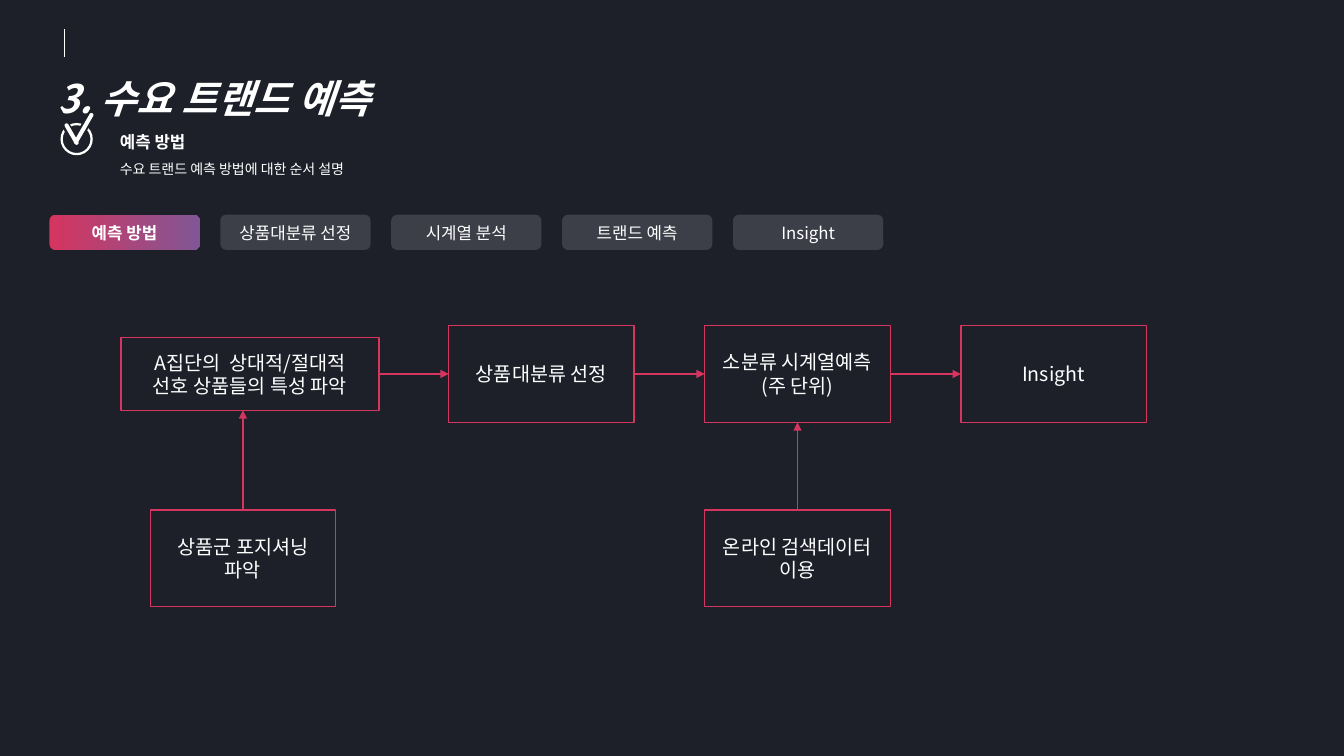
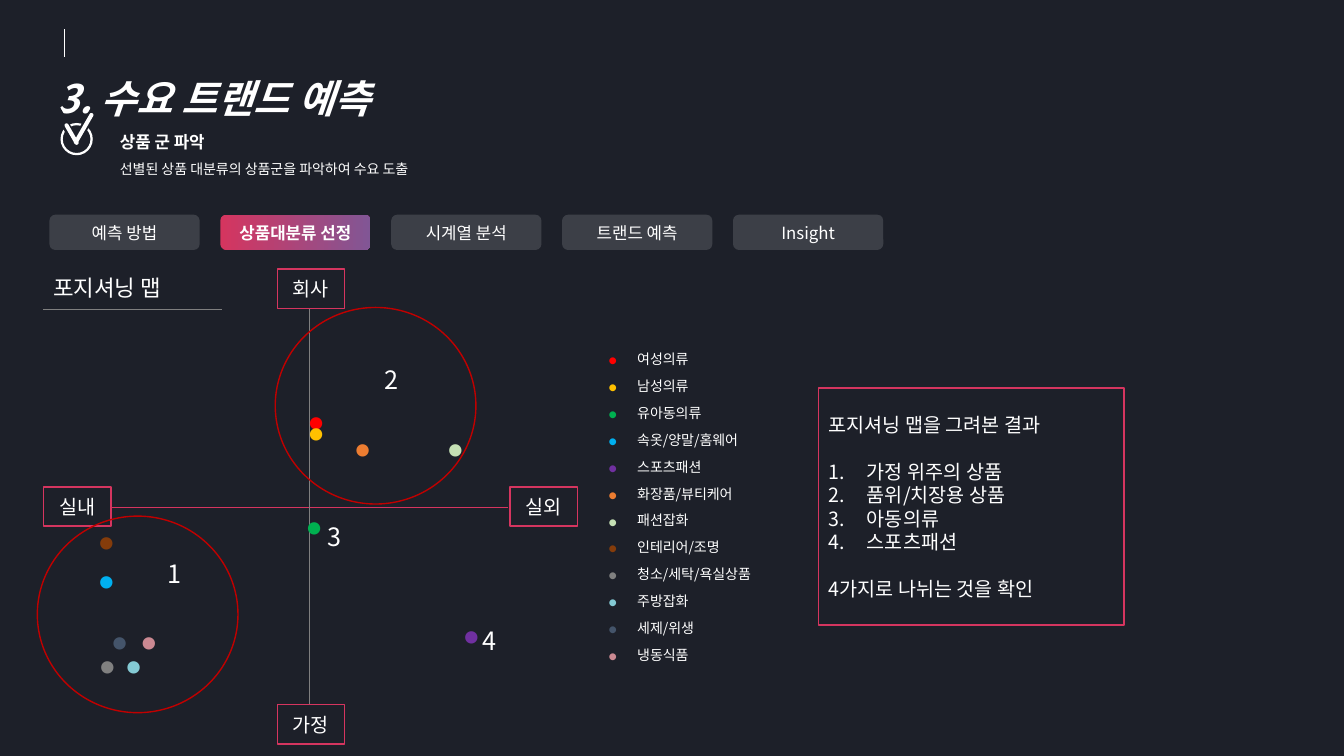
import pptx
import pptx.util
import pptx.dml.color
import pptx.enum.shapes
import pptx.enum.text
import pptx.oxml.ns
from lxml import etree

Inches = pptx.util.Inches
Pt = pptx.util.Pt
RGBColor = pptx.dml.color.RGBColor
MSO = pptx.enum.shapes.MSO_SHAPE
ALIGN = pptx.enum.text.PP_ALIGN
ANCHOR = pptx.enum.text.MSO_ANCHOR
qn = pptx.oxml.ns.qn

DARK = RGBColor(0x1D, 0x20, 0x29)
WHITE = RGBColor(0xFF, 0xFF, 0xFF)
PINK = RGBColor(0xD5, 0x35, 0x5F)
PURPLE = RGBColor(0x81, 0x56, 0x95)
GRAY = RGBColor(0x7F, 0x7F, 0x7F)
RED = RGBColor(0xC0, 0x00, 0x00)
FONT = "Noto Sans CJK KR"
DOT_FONT = "Lato"
NO_STYLE = "{2D5ABB26-0587-4C30-8999-92F81FD0307C}"


def write(tf, text, size=14, color=WHITE, bold=False, italic=False, font=FONT,
          align=ALIGN.LEFT, spacing=None, before=0, numbered=False):
    """Add each line of text as a paragraph, filling the empty first one."""
    for line in text.split("\n"):
        p = tf.paragraphs[0]
        if p.runs:
            p = tf.add_paragraph()
        p.alignment = align
        p.line_spacing = Pt(spacing or size * 1.2)
        if before:
            p.space_before = Pt(before)
        if numbered:
            pPr = p._p.get_or_add_pPr()
            pPr.set("marL", str(Inches(0.38)))
            pPr.set("indent", str(-Inches(0.38)))
            etree.SubElement(pPr, qn("a:buAutoNum"), type="arabicPeriod")
        r = p.add_run()
        r.text = line
        r.font.size, r.font.bold, r.font.italic = Pt(size), bold, italic
        r.font.name = font
        r.font.color.rgb = color
        etree.SubElement(r._r.get_or_add_rPr(), qn("a:ea"), typeface=font)


def add_box(s, kind, x, y, w, h, fill=None, line=None):
    """Add a preset shape, or a text box when kind is None."""
    area = Inches(x), Inches(y), Inches(w), Inches(h)
    if kind is None:
        sp = s.shapes.add_textbox(*area)
    else:
        sp = s.shapes.add_shape(kind, *area)
        sp.shadow.inherit = False
        if fill is None:
            sp.fill.background()
        else:
            sp.fill.solid()
            sp.fill.fore_color.rgb = fill
        if line is None:
            sp.line.fill.background()
        else:
            sp.line.color.rgb = line
            sp.line.width = Pt(1)
        sp.text_frame.vertical_anchor = ANCHOR.MIDDLE
    sp.text_frame.word_wrap = True
    return sp


prs = pptx.Presentation()
prs.slide_width, prs.slide_height = Inches(13.33), Inches(7.5)

# Shared parts: header, check icon, tabs, lines
TABS = ["예측 방법", "상품대분류 선정", "시계열 분석", "트랜드 예측", "Insight"]
TAB_STEP = (7.27 - 0.49) / 4
CHECK = [  # x, y, width, height, rotation, colour
    (0.6, 1, 0.08, 0.44, 330, DARK),
    (0.82, 1, 0.08, 0.44, 30, DARK),
    (0.81, 1.1, 0.04, 0.35, 30, WHITE),
    (0.69, 1.21, 0.04, 0.24, 330, WHITE),
]
HEADER_RULE = (0.64, 0.29, 0.64, 0.57, WHITE, 0.5, False)
PAGES = [  # heading, description, lines (x1, y1, x2, y2, colour, width, arrow)
    ("예측 방법", "수요 트랜드 예측 방법에 대한 순서 설명", [
        (3.76, 3.71, 4.45, 3.71, PINK, 1, True),
        (6.3, 3.71, 6.99, 3.71, PINK, 1, True),
        (8.83, 3.71, 9.53, 3.71, PINK, 1, True),
        (7.91, 5.06, 7.91, 4.19, PINK, 1, True),
        (2.41, 5.06, 2.41, 4.07, PINK, 1, True),
    ]),
    ("상품 군 파악", "선별된 상품 대분류의 상품군을 파악하여 수요 도출", [
        (1.1, 5.03, 5.04, 5.03, PINK, 0.5, False),
        (3.07, 3.06, 3.07, 6.99, GRAY, 0.5, False),
        (0.43, 3.07, 2.2, 3.07, GRAY, 0.5, False),
    ]),
]

slides = []
for active, (heading, description, lines) in enumerate(PAGES):
    s = prs.slides.add_slide(prs.slide_layouts[6])
    slides.append(s)
    s.background.fill.solid()
    s.background.fill.fore_color.rgb = DARK

    tf = add_box(s, None, 1.09, 1.15, 4.62, 0.66).text_frame
    write(tf, heading, size=12, bold=True, spacing=22)
    write(tf, description, size=10, spacing=18)
    tf = add_box(s, None, 0.46, 0.43, 4.63, 0.72).text_frame
    write(tf, "3. 수요 트랜드 예측", size=28, bold=True, italic=True, spacing=52)

    ring = add_box(s, MSO.DONUT, 0.6, 1.22, 0.32, 0.32, fill=WHITE)
    ring.adjustments[0] = 0.07
    for x, y, w, h, angle, color in CHECK:
        bar = add_box(s, MSO.ROUNDED_RECTANGLE, x, y, w, h, fill=color)
        bar.adjustments[0] = 0.5
        bar.rotation = angle

    for i, label in enumerate(TABS):
        tab = add_box(s, MSO.ROUNDED_RECTANGLE, 0.49 + i * TAB_STEP, 2.13,
                      1.49, 0.35, fill=WHITE)
        if i == active:
            tab.fill.gradient()
            tab.fill.gradient_angle = 0
            for stop, color in zip(tab.fill.gradient_stops, (PINK, PURPLE)):
                stop.color.rgb = color
        else:
            clr = tab._element.spPr.find(qn("a:solidFill"))[0]
            etree.SubElement(clr, qn("a:alpha"), val="14000")
        write(tab.text_frame, label, size=12, bold=i == active,
              align=ALIGN.CENTER)

    for x1, y1, x2, y2, color, width, arrow in [HEADER_RULE] + lines:
        c = s.shapes.add_connector(
            pptx.enum.shapes.MSO_CONNECTOR.STRAIGHT,
            Inches(x1), Inches(y1), Inches(x2), Inches(y2))
        c.line.color.rgb = color
        c.line.width = Pt(width)
        if arrow:
            etree.SubElement(c.line._get_or_add_ln(), qn("a:tailEnd"),
                             type="triangle")
        etree.SubElement(c._element.spPr, qn("a:effectLst"))

flow, positioning = slides

# Outlined boxes: flow steps and axis ends
OUTLINED = [
    (flow, 1.2, 3.35, 2.56, 0.72, "A집단의  상대적/절대적\n선호 상품들의 특성 파악"),
    (flow, 4.45, 3.23, 1.84, 0.96, "상품대분류 선정"),
    (flow, 6.99, 3.23, 1.84, 0.96, "소분류 시계열예측\n(주 단위)"),
    (flow, 9.53, 3.23, 1.84, 0.96, "Insight"),
    (flow, 6.99, 5.06, 1.84, 0.96, "온라인 검색데이터\n이용"),
    (flow, 1.49, 5.06, 1.84, 0.96, "상품군 포지셔닝\n파악"),
    (positioning, 2.75, 2.67, 0.67, 0.39, "회사"),
    (positioning, 2.75, 6.99, 0.67, 0.39, "가정"),
    (positioning, 0.43, 4.83, 0.67, 0.39, "실내"),
    (positioning, 5.06, 4.83, 0.67, 0.39, "실외"),
]
for s, x, y, w, h, text in OUTLINED:
    sp = add_box(s, MSO.RECTANGLE, x, y, w, h, line=PINK)
    write(sp.text_frame, text, align=ALIGN.CENTER)

# Positioning map: legend table and dots
s = positioning
PRODUCTS = [  # name, colour, dot box left and top
    ("여성의류", RGBColor(0xFF, 0x00, 0x00), 2.86, 3.98),
    ("남성의류", RGBColor(0xFF, 0xC0, 0x00), 2.86, 4.09),
    ("유아동의류", RGBColor(0x00, 0xB0, 0x50), 2.84, 5.02),
    ("속옷/양말/홈웨어", RGBColor(0x00, 0xB0, 0xF0), 0.78, 5.56),
    ("스포츠패션", RGBColor(0x70, 0x30, 0xA0), 4.4, 6.11),
    ("화장품/뷰티케어", RGBColor(0xED, 0x7D, 0x31), 3.32, 4.25),
    ("패션잡화", RGBColor(0xC5, 0xE0, 0xB4), 4.24, 4.25),
    ("인테리어/조명", RGBColor(0x84, 0x3C, 0x0B), 0.78, 5.17),
    ("청소/세탁/욕실상품", RGBColor(0x80, 0x80, 0x80), 0.79, 6.4),
    ("주방잡화", RGBColor(0x84, 0xCA, 0xD4), 1.05, 6.4),
    ("세제/위생", RGBColor(0x44, 0x54, 0x6A), 0.91, 6.16),
    ("냉동식품", RGBColor(0xCB, 0x89, 0x92), 1.2, 6.16),
]
legend = s.shapes.add_table(len(PRODUCTS), 2, Inches(4.71), Inches(3.44),
                            Inches(3.02), Inches(3.2)).table
legend.first_row = legend.horz_banding = False
legend._tbl.tblPr.find(qn("a:tableStyleId")).text = NO_STYLE
for row, (name, color, x, y) in enumerate(PRODUCTS):
    key, label = legend.cell(row, 0), legend.cell(row, 1)
    key.fill.background()
    label.fill.background()
    write(key.text_frame, "●", size=10, color=color, font=DOT_FONT,
          align=ALIGN.RIGHT)
    write(label.text_frame, name, size=10)
    tf = add_box(s, None, x, y, 0.45, 0.4).text_frame
    tf.word_wrap = False
    write(tf, "●", size=18, color=color, font=DOT_FONT, align=ALIGN.RIGHT)

# Group circles and numbers
for x, y in [(2.73, 3.05), (0.37, 5.12)]:
    add_box(s, MSO.OVAL, x, y, 1.99, 1.95, line=RED)
for number, x, y in [("1", 1.56, 5.49), ("2", 3.72, 3.57),
                     ("3", 3.15, 5.12), ("4", 4.69, 6.15)]:
    tf = add_box(s, None, x, y, 0.34, 0.4).text_frame
    tf.word_wrap = False
    write(tf, number, size=18)

# Section label and findings
tf = add_box(s, None, 0.43, 2.67, 1.77, 0.36).text_frame
tf.vertical_anchor = ANCHOR.MIDDLE
write(tf, "포지셔닝 맵", size=16)

tf = add_box(s, MSO.RECTANGLE, 8.12, 3.85, 3.03, 2.35, line=PINK).text_frame
write(tf, "포지셔닝 맵을 그려본 결과")
write(tf, "가정 위주의 상품", before=16.8, numbered=True)
write(tf, "품위/치장용 상품\n아동의류\n스포츠패션", numbered=True)
write(tf, "4가지로 나뉘는 것을 확인", before=16.8)

prs.save("out.pptx")
